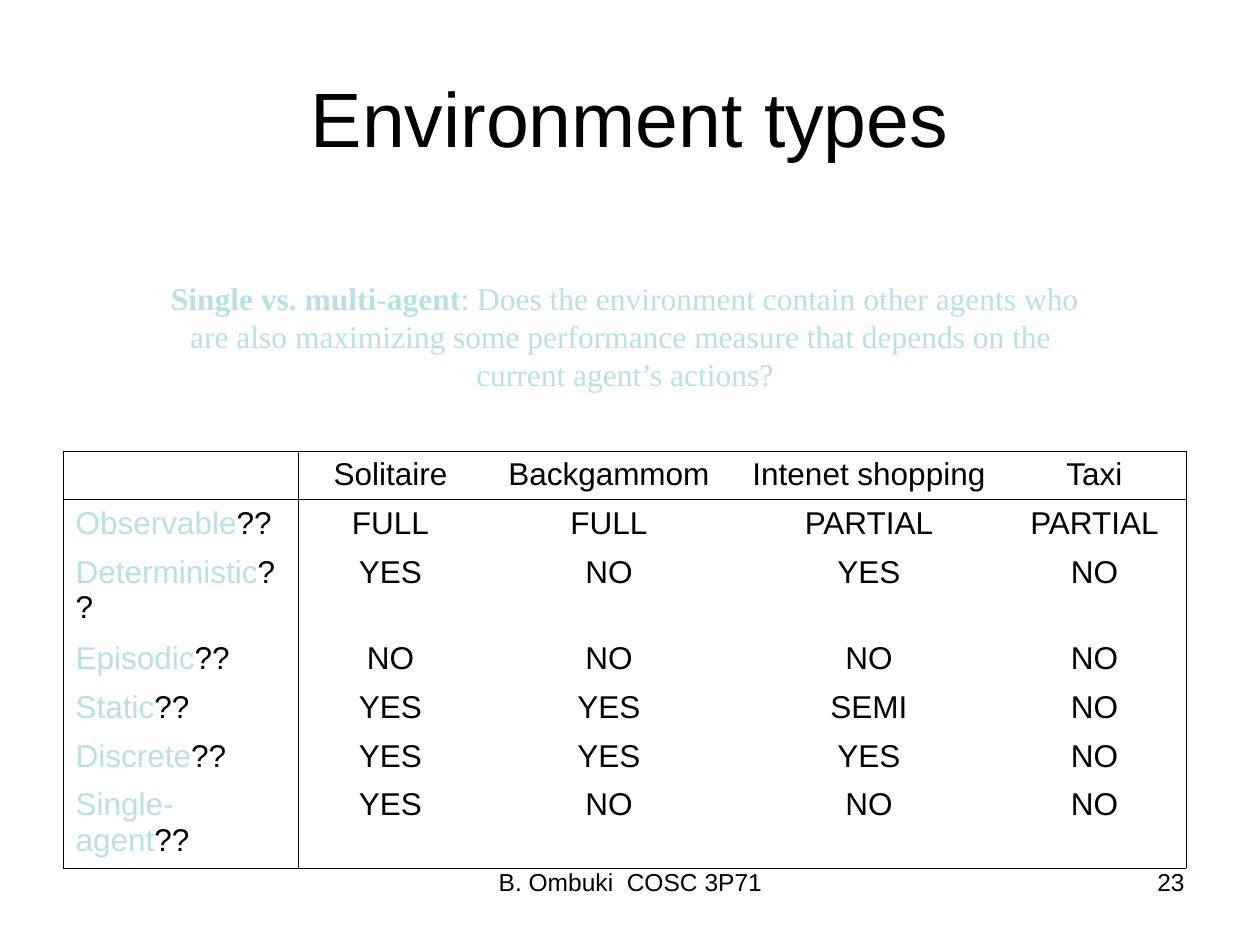
from lxml.etree import SubElement
from pptx import Presentation
from pptx.dml.color import RGBColor
from pptx.enum.text import MSO_ANCHOR as ANCHOR, MSO_AUTO_SIZE as FIT, PP_ALIGN as ALIGN
from pptx.oxml.ns import qn
from pptx.util import Emu, Pt

COLORS = {"ink": "000000", "pale": "BBE0E3"}
PX = 914400 / 126


def px(*lengths):
    return [Emu(round(n * PX)) for n in lengths]


def write(frame, paragraphs, size=18, font="Arial", align=ALIGN.CENTER, anchor=ANCHOR.TOP, wrap=True):
    frame.word_wrap = wrap
    frame.vertical_anchor = anchor
    for i, runs in enumerate(paragraphs):
        paragraph = frame.add_paragraph() if i else frame.paragraphs[0]
        paragraph.alignment = align
        for text, color, bold in runs:
            run = paragraph.add_run()
            run.text = text
            run.font.size = Pt(size)
            run.font.name = font
            run.font.bold = bold
            run.font.color.rgb = RGBColor.from_string(COLORS[color])


deck = Presentation()
deck.slide_width, deck.slide_height = px(1260, 945)
slide = deck.slides.add_slide(deck.slide_layouts[6])

title = slide.shapes.add_textbox(*px(63, 38, 1134, 157))
write(title.text_frame, [[("Environment types", "ink", False)]], size=44, anchor=ANCHOR.MIDDLE)

header = ["", "Solitaire", "Backgammom", "Intenet shopping", "Taxi"]
answers = [
    ["Observable", "FULL", "FULL", "PARTIAL", "PARTIAL"],
    ["Deterministic", "YES", "NO", "YES", "NO"],
    ["Episodic", "NO", "NO", "NO", "NO"],
    ["Static", "YES", "YES", "SEMI", "NO"],
    ["Discrete", "YES", "YES", "YES", "NO"],
    ["Single-agent", "YES", "NO", "NO", "NO"],
]
rows = [header] + answers
column_widths = [235, 185, 252, 268, 183]
row_heights = [48, 48, 84, 48, 48, 48, 84]
last_row, last_column = len(rows) - 1, len(header) - 1

environments = slide.shapes.add_table(
    len(rows), len(header), *px(63, 451, sum(column_widths), sum(row_heights))
).table
environments.first_row = False
environments.horz_banding = False
for column, width in zip(environments.columns, px(*column_widths)):
    column.width = width
for row, height in zip(environments.rows, px(*row_heights)):
    row.height = height

for r, row in enumerate(rows):
    for c, text in enumerate(row):
        cell = environments.cell(r, c)
        cell.margin_top, cell.margin_bottom = px(6, 5)
        is_property = r > 0 and c == 0
        if is_property:
            write(cell.text_frame, [[(text, "pale", False), ("??", "ink", False)]], align=ALIGN.LEFT)
        elif text:
            write(cell.text_frame, [[(text, "ink", False)]])
        else:
            blank_format = SubElement(cell.text_frame.paragraphs[0]._p, qn("a:endParaRPr"), sz="1800")
            SubElement(blank_format, qn("a:latin"), typeface="Arial")
        borders = {
            "a:lnL": c <= 1,
            "a:lnR": c in (0, last_column),
            "a:lnT": r <= 1,
            "a:lnB": r in (0, last_row),
        }
        properties = cell._tc.get_or_add_tcPr()
        for side, drawn in borders.items():
            line = SubElement(properties, qn(side), w=str(Pt(0.45)))
            if drawn:
                fill = SubElement(line, qn("a:solidFill"))
                SubElement(fill, qn("a:srgbClr"), val=COLORS["ink"])
            else:
                SubElement(line, qn("a:noFill"))
        cell.fill.background()

definition = slide.shapes.add_textbox(*px(158, 273, 934, 126))
write(
    definition.text_frame,
    [
        [
            ("Single vs. multi-agent", "pale", True),
            (": Does the environment contain other agents who", "pale", False),
        ],
        [("are also maximizing some performance measure that depends on the ", "pale", False)],
        [("current agent’s actions?", "pale", False)],
    ],
    font="Times New Roman",
    wrap=False,
)
definition.text_frame.auto_size = FIT.SHAPE_TO_FIT_TEXT

footer = slide.shapes.add_textbox(*px(431, 861, 399, 66))
write(footer.text_frame, [[("B. Ombuki  COSC 3P71", "ink", False)]], size=14)

page_number = slide.shapes.add_textbox(*px(903, 861, 294, 66))
write(page_number.text_frame, [[("23", "ink", False)]], size=14, align=ALIGN.RIGHT)

deck.save("out.pptx")
